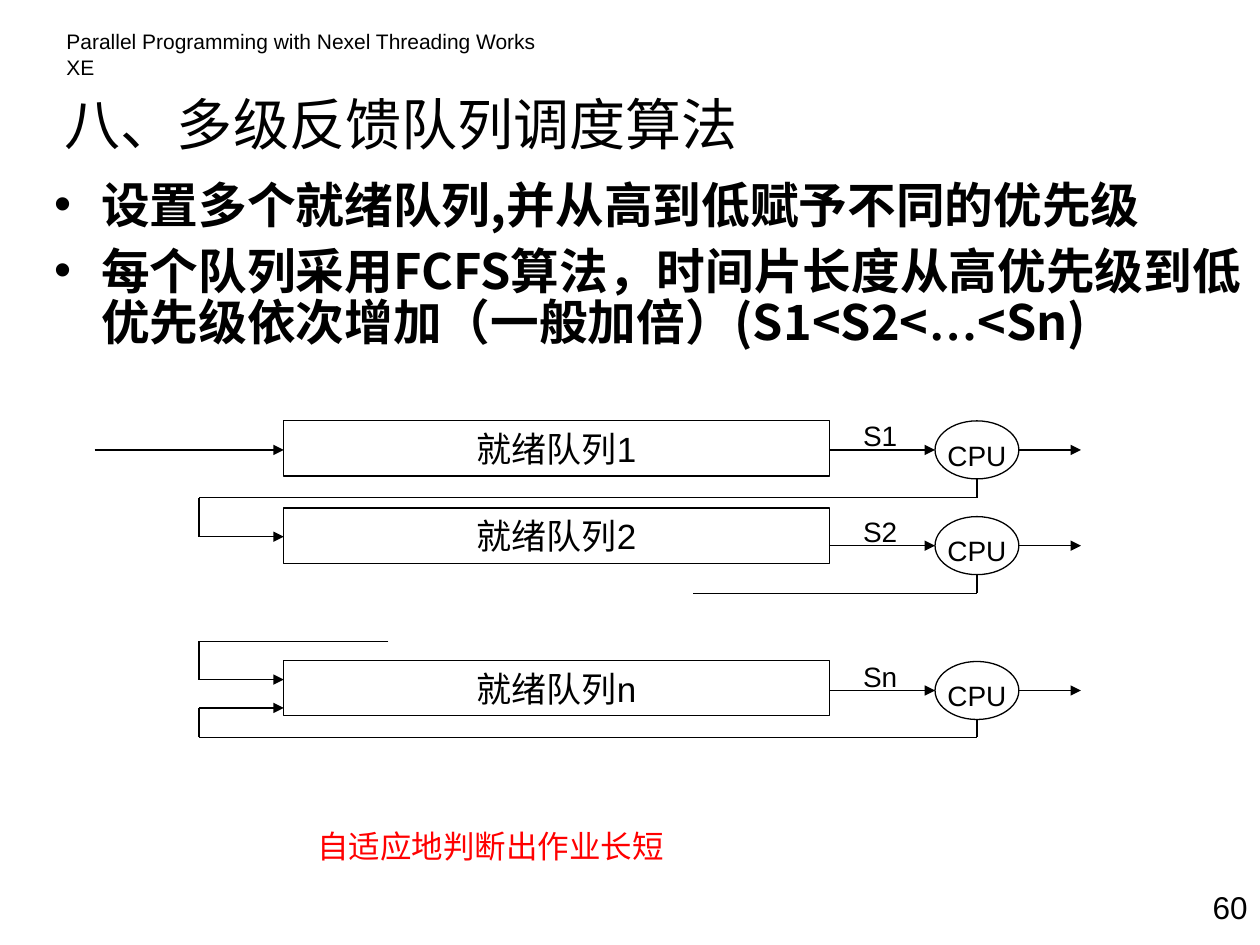
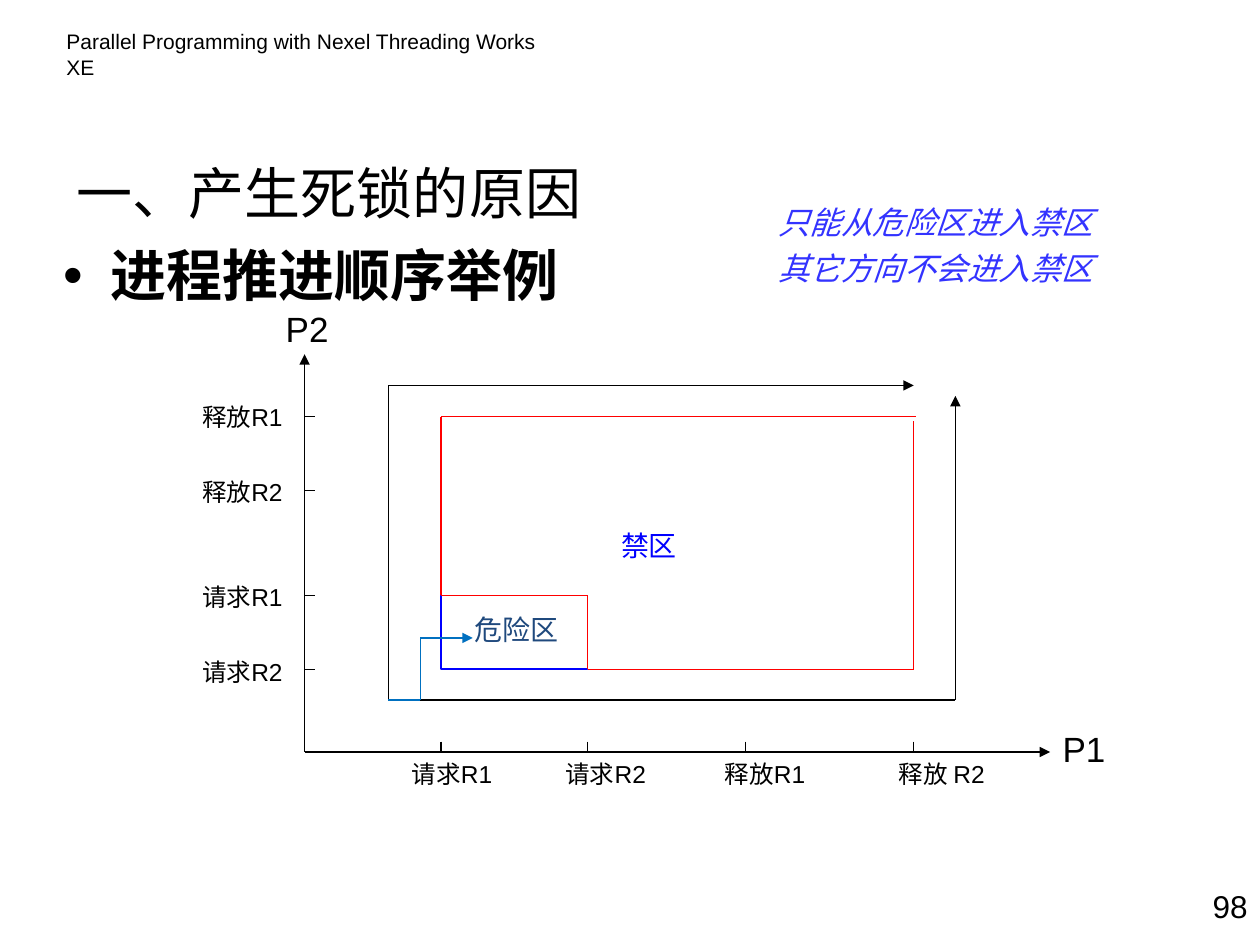
from dataclasses import dataclass
from typing import Any, NamedTuple, Optional

from lxml import etree
from pptx import Presentation
from pptx import util as u
from pptx.dml import color
from pptx.enum import shapes, text
from pptx.oxml import ns

LEFT, CENTER, RIGHT = text.PP_ALIGN.LEFT, text.PP_ALIGN.CENTER, text.PP_ALIGN.RIGHT
TOP, MIDDLE = text.MSO_ANCHOR.TOP, text.MSO_ANCHOR.MIDDLE


@dataclass(frozen=True)
class Theme:
    """Colours, fonts and type sizes shared by the slides."""
    black: str = "000000"
    red: str = "FF0000"
    blue: str = "0000FF"
    note_blue: str = "3333FF"
    navy: str = "1F497D"
    path_blue: str = "0070C0"
    latin: str = "Arial"
    cjk: str = "Noto Sans CJK SC"
    serif: str = "Times New Roman"
    title: float = 32
    list: float = 27.8
    big: float = 20
    note: float = 18
    label: float = 16
    tick: float = 14
    header: float = 12
    rule: float = 0.75


THEME = Theme()
HEADER = "Parallel Programming with Nexel Threading Works XE"


class Area(NamedTuple):
    left: float
    top: float
    width: float
    height: float

    def lengths(self) -> list[u.Length]:
        return [u.Cm(value) for value in self]


class Point(NamedTuple):
    x: float
    y: float


@dataclass(frozen=True)
class Style:
    size: float
    color: str = THEME.black
    font: str = THEME.latin
    bold: bool = False
    italic: bool = False
    align: Any = LEFT


@dataclass(frozen=True)
class Line:
    """One paragraph; pieces pair a text with an optional own font."""
    pieces: tuple[tuple[str, Optional[str]], ...]
    before: float = 0
    spacing: Optional[float] = None


@dataclass(frozen=True)
class QueueRow:
    name: str
    slice_label: str
    box_top: float
    cpu_y: float
    feedback: tuple[Point, ...]  # points after the line has left the CPU


def line(words: str, before: float = 0, spacing: Optional[float] = None) -> Line:
    return Line(((words, None),), before, spacing)


def rgb(value: str) -> color.RGBColor:
    return color.RGBColor.from_string(value)


def set_all(target: Any, values: dict[str, Any]) -> None:
    for name, value in values.items():
        setattr(target, name, value)


# Text

def write(frame: Any, lines: list[Line], style: Style, anchor: Any = MIDDLE,
          insets: tuple[float, float] = (0.25, 0.13), wrap: bool = True) -> None:
    side, edge = insets
    set_all(frame, {
        "word_wrap": wrap, "auto_size": text.MSO_AUTO_SIZE.NONE, "vertical_anchor": anchor,
        "margin_left": u.Cm(side), "margin_right": u.Cm(side),
        "margin_top": u.Cm(edge), "margin_bottom": u.Cm(0.13),
    })
    for index, item in enumerate(lines):
        paragraph = frame.add_paragraph() if index else frame.paragraphs[0]
        set_all(paragraph, {
            "alignment": style.align, "space_before": u.Pt(item.before), "space_after": u.Pt(0),
            "line_spacing": u.Pt(item.spacing) if item.spacing else 1.0,
        })
        for words, own_font in item.pieces:
            run = paragraph.add_run()
            run.text = words
            set_all(run.font, {"size": u.Pt(style.size), "bold": style.bold,
                               "italic": style.italic, "name": own_font or style.font})
            run.font.color.rgb = rgb(style.color)
            east_asian = etree.SubElement(run.font._element, ns.qn("a:ea"))
            east_asian.set("typeface", own_font or THEME.cjk)


def add_label(slide: Any, area: Area, words: str, style: Style) -> Any:
    box = slide.shapes.add_textbox(*area.lengths())
    write(box.text_frame, [line(words)], style)
    return box


def add_bullets(frame: Any) -> None:
    for paragraph in frame.paragraphs:
        props = paragraph._p.get_or_add_pPr()
        props.set("marL", str(u.Cm(0.95)))
        props.set("indent", str(u.Cm(-0.95)))
        bullet_color = etree.SubElement(props, ns.qn("a:buClr"))
        etree.SubElement(bullet_color, ns.qn("a:srgbClr")).set("val", THEME.black)
        etree.SubElement(props, ns.qn("a:buFont")).set("typeface", THEME.latin)
        etree.SubElement(props, ns.qn("a:buChar")).set("char", "•")


def add_tab_stops(paragraph: Any, stops: tuple[float, ...]) -> None:
    tabs = etree.SubElement(paragraph._p.get_or_add_pPr(), ns.qn("a:tabLst"))
    for stop in stops:
        tab = etree.SubElement(tabs, ns.qn("a:tab"))
        tab.set("pos", str(u.Cm(stop)))
        tab.set("algn", "l")


# Drawing

def add_route(slide: Any, points: list[Point], ink: str = THEME.black,
              arrow: bool = False) -> None:
    """Draw straight lines from point to point, with an arrowhead at the end."""
    for start, end in zip(points, points[1:]):
        link = slide.shapes.add_connector(
            shapes.MSO_CONNECTOR.STRAIGHT, *(u.Cm(value) for value in (*start, *end)))
        set_all(link.line, {"width": u.Pt(THEME.rule)})
        link.line.color.rgb = rgb(ink)
        etree.SubElement(link._element.spPr, ns.qn("a:effectLst"))
        if arrow and end is points[-1]:
            head = etree.SubElement(link.line._get_or_add_ln(), ns.qn("a:tailEnd"))
            head.set("type", "triangle")


def add_outline(slide: Any, kind: Any, area: Area, ink: str = THEME.black) -> Any:
    shape = slide.shapes.add_shape(kind, *area.lengths())
    shape.shadow.inherit = False
    shape.fill.background()
    shape.line.width = u.Pt(THEME.rule)
    shape.line.color.rgb = rgb(ink)
    return shape


# Shared slide frame

def add_slide(deck: Any, title: str, title_area: Area, body_area: Area, items: list[Line],
              body_style: Style, body_insets: tuple[float, float],
              number: str, number_area: Area) -> Any:
    slide = deck.slides.add_slide(deck.slide_layouts[1])
    heading, body = slide.shapes.title, slide.placeholders[1]
    for holder, area in ((heading, title_area), (body, body_area)):
        set_all(holder, dict(zip(("left", "top", "width", "height"), area.lengths())))
    write(heading.text_frame, [line(title)], Style(THEME.title, font=THEME.cjk))
    write(body.text_frame, items, body_style, TOP, body_insets)
    add_bullets(body.text_frame)
    add_label(slide, Area(1.09, 0.71, 10.41, 0.76), HEADER, Style(THEME.header))
    add_label(slide, number_area, number, Style(THEME.note, align=RIGHT))
    return slide


# Slide: multilevel feedback queues

QUEUE_LEFT, QUEUE_WIDTH, QUEUE_HEIGHT = 5.72, 11.0, 1.12
CPU_LEFT, CPU_WIDTH, CPU_HEIGHT = 18.85, 1.69, 1.17
RETURN_X, EXIT_X = 4.01, 21.79
FIRST_Y, LAST_Y = 9.07, 13.92


def return_to_queue(start: Point, entry_y: float) -> tuple[Point, ...]:
    return (start, Point(RETURN_X, start.y), Point(RETURN_X, entry_y),
            Point(QUEUE_LEFT, entry_y))


def add_queue_row(slide: Any, row: QueueRow) -> None:
    queue = add_outline(slide, shapes.MSO_SHAPE.RECTANGLE,
                        Area(QUEUE_LEFT, row.box_top, QUEUE_WIDTH, QUEUE_HEIGHT))
    write(queue.text_frame, [line(row.name)], Style(THEME.big, align=CENTER))
    cpu = add_outline(slide, shapes.MSO_SHAPE.OVAL,
                      Area(CPU_LEFT, row.cpu_y - CPU_HEIGHT / 2, CPU_WIDTH, CPU_HEIGHT))
    write(cpu.text_frame, [line("CPU")], Style(THEME.label, align=CENTER),
          insets=(0, 0.33), wrap=False)
    add_label(slide, Area(17.15, row.cpu_y - 0.76, 1.48, 0.94), row.slice_label,
              Style(THEME.label))
    for start, end in ((QUEUE_LEFT + QUEUE_WIDTH, CPU_LEFT), (CPU_LEFT + CPU_WIDTH, EXIT_X)):
        add_route(slide, [Point(start, row.cpu_y), Point(end, row.cpu_y)], arrow=True)
    cpu_x = CPU_LEFT + CPU_WIDTH / 2
    add_route(slide, [Point(cpu_x, row.cpu_y + CPU_HEIGHT / 2), *row.feedback],
              arrow=len(row.feedback) > 2)


def build_feedback_queues(deck: Any) -> None:
    items = [
        line("设置多个就绪队列,并从高到低赋予不同的优先级", spacing=32.3),
        Line((("每个队列采用FCFS算法，时间片长度从高优先级到低优先级依次增加（一般加倍）(S1<S2<", None),
              ("…", THEME.serif), ("<Sn)", None)), before=8.5, spacing=29.1),
    ]
    slide = add_slide(deck, "八、多级反馈队列调度算法", Area(1.06, 1.52, 22.86, 1.91),
                      Area(0.84, 3.43, 24.56, 4.45), items,
                      Style(THEME.list, font=THEME.cjk, bold=True), (0.25, 0.13),
                      "60", Area(23.7, 17.78, 1.7, 1.02))
    cpu_x = CPU_LEFT + CPU_WIDTH / 2
    rows = [
        QueueRow("就绪队列1", "S1", 8.48, FIRST_Y, return_to_queue(Point(cpu_x, 10.03), 10.82)),
        QueueRow("就绪队列2", "S2", 10.24, 11.0, (Point(cpu_x, 11.96), Point(13.97, 11.96))),
        QueueRow("就绪队列n", "Sn", 13.31, LAST_Y, return_to_queue(Point(cpu_x, 14.86), 14.27)),
    ]
    for row in rows:
        add_queue_row(slide, row)
    add_route(slide, [Point(1.91, FIRST_Y), Point(QUEUE_LEFT, FIRST_Y)], arrow=True)
    add_route(slide, list(return_to_queue(Point(7.83, 12.93), 13.7)), arrow=True)
    conclusion = add_label(slide, Area(6.15, 16.54, 7.49, 1.02), "自适应地判断出作业长短",
                           Style(THEME.note, THEME.red))
    conclusion.text_frame.word_wrap = False


# Slide: deadlock progress diagram

ORIGIN = Point(6.14, 15.16)
TICK = 0.21
ASK_X1, ASK_X2, FREE_X1, FREE_X2 = P1_TICKS = (8.89, 11.85, 15.03, 18.42)
ASK_Y2, ASK_Y1, FREE_Y2, FREE_Y1 = P2_TICKS = (13.49, 12.0, 9.89, 8.4)


def add_axes(slide: Any) -> None:
    for tip in (Point(21.17, ORIGIN.y), Point(ORIGIN.x, 7.14)):
        add_route(slide, [ORIGIN, tip], arrow=True)
    for x in P1_TICKS:
        add_route(slide, [Point(x, ORIGIN.y - TICK), Point(x, ORIGIN.y)])
    for y in P2_TICKS:
        add_route(slide, [Point(ORIGIN.x, y), Point(ORIGIN.x + TICK, y)])
    add_label(slide, Area(21.17, 14.53, 1.48, 1.12), "P1", Style(THEME.big))
    add_label(slide, Area(5.51, 6.07, 1.48, 1.12), "P2", Style(THEME.big))
    p1_steps = add_label(slide, Area(8.05, 15.16, 12.9, 0.86),
                         "请求R1\t请求R2\t释放R1\t释放 R2", Style(THEME.tick))
    add_tab_stops(p1_steps.text_frame.paragraphs[0], (3.1, 6.31, 9.82))
    p2_steps = slide.shapes.add_textbox(*Area(3.61, 7.98, 2.34, 5.99).lengths())
    steps = (("释放R1", 0), ("释放R2", 26.2), ("请求R1", 43), ("请求R2", 26.2))
    write(p2_steps.text_frame, [line(words, before, 16.7) for words, before in steps],
          Style(THEME.tick, align=RIGHT), TOP)


def build_deadlock_causes(deck: Any) -> None:
    slide = add_slide(deck, "一、产生死锁的原因", Area(1.3, 2.92, 22.86, 1.91),
                      Area(1.27, 4.6, 24.13, 2.34), [line("进程推进顺序举例", spacing=42)],
                      Style(THEME.title, font=THEME.cjk, bold=True), (0, 0.13),
                      "98", Area(22.86, 17.75, 2.54, 1.02))
    add_axes(slide)

    # Danger zone and forbidden zone
    add_outline(slide, shapes.MSO_SHAPE.RECTANGLE,
                Area(ASK_X1, ASK_Y1, ASK_X2 - ASK_X1, ASK_Y2 - ASK_Y1), THEME.blue)
    add_route(slide, [Point(18.46, FREE_Y1), Point(ASK_X1, FREE_Y1), Point(ASK_X1, ASK_Y1),
                      Point(ASK_X2, ASK_Y1), Point(ASK_X2, ASK_Y2), Point(FREE_X2, ASK_Y2),
                      Point(FREE_X2, 8.48)], THEME.red)
    add_label(slide, Area(9.32, 12.22, 2.34, 0.94), "危险区", Style(THEME.label, THEME.navy))
    add_label(slide, Area(12.27, 10.52, 2.34, 0.94), "禁区", Style(THEME.label, THEME.blue))

    # Ways the two processes can advance
    start = Point(7.83, 14.11)
    paths = (
        (THEME.black, Point(19.26, start.y), Point(19.26, 7.98)),
        (THEME.black, Point(start.x, 7.77), Point(FREE_X2, 7.77)),
        (THEME.path_blue, Point(8.47, start.y), Point(8.47, 12.86), Point(9.53, 12.86)),
    )
    for ink, *turns in paths:
        add_route(slide, [start, *turns], ink, arrow=True)

    note = slide.shapes.add_textbox(*Area(15.44, 3.96, 9.09, 1.96).lengths())
    write(note.text_frame, [line("只能从危险区进入禁区", 0, 21.8),
                            line("其它方向不会进入禁区", 4.5, 21.8)],
          Style(THEME.note, THEME.note_blue, italic=True), TOP)


def main() -> None:
    deck = Presentation()
    set_all(deck, {"slide_width": u.Cm(25.4), "slide_height": u.Cm(19.05)})
    build_feedback_queues(deck)
    build_deadlock_causes(deck)
    deck.save("out.pptx")


if __name__ == "__main__":
    main()
